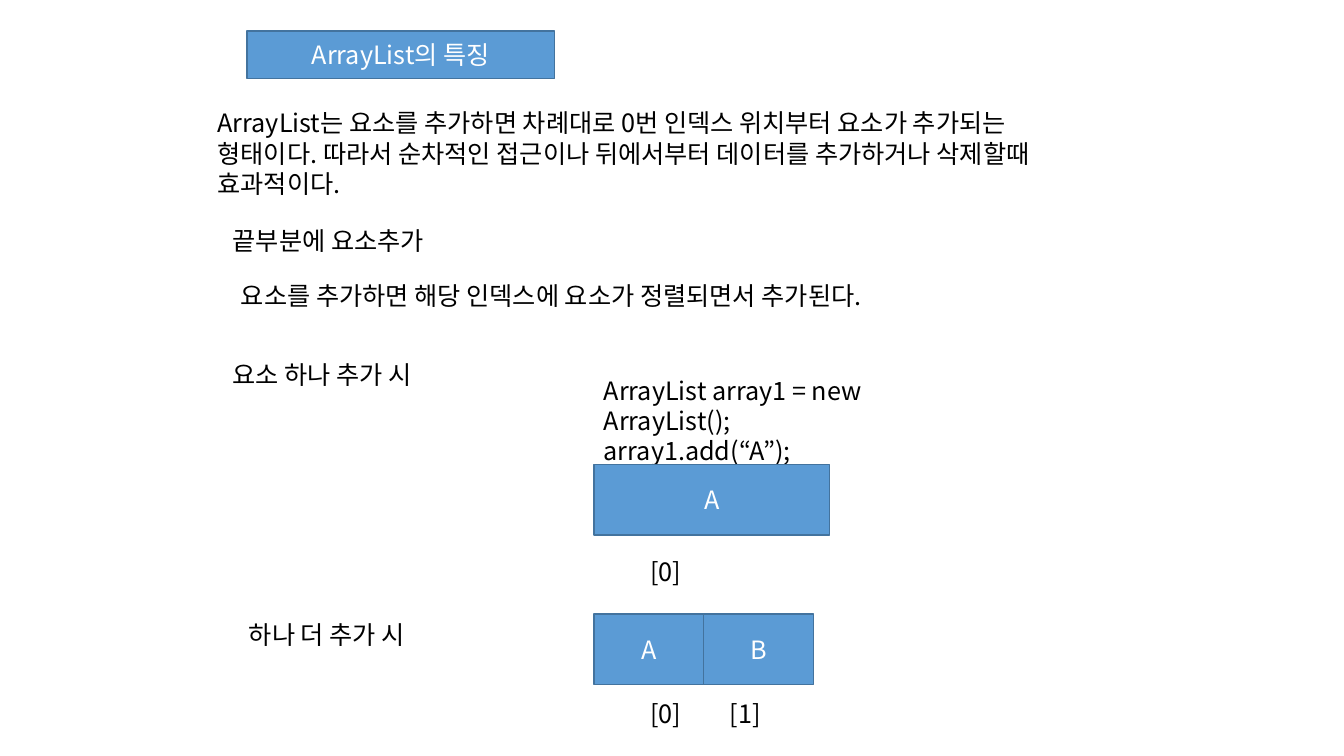
"""Build a slide on how ArrayList adds elements at its end."""
from lxml import etree
from pptx import Presentation
from pptx.dml.color import RGBColor
from pptx.enum import shapes, text
from pptx.oxml import ns
from pptx.util import Inches, Pt

FONT = "Noto Sans CJK KR"
HUES = {"fill": "5B9BD5", "line": "43739E", "light": "FFFFFF", "dark": "000000"}
CELL = 1.09
ROW = 5.89

NOTES = [
    (2.06, 1.02, 8.75, 1.01,
     "ArrayList는 요소를 추가하면 차례대로 0번 인덱스 위치부터 요소가 추가되는 형태이다. "
     "따라서 순차적인 접근이나 뒤에서부터 데이터를 추가하거나 삭제할때 효과적이다."),
    (2.21, 2.19, 3.36, 0.4, "끝부분에 요소추가"),
    (2.29, 2.73, 6.88, 0.71, "요소를 추가하면 해당 인덱스에 요소가 정렬되면서 추가된다."),
    (2.21, 3.52, 2.27, 0.4, "요소 하나 추가 시"),
    (ROW, 3.67, 3.98, 0.71, "ArrayList array1 = new ArrayList();\narray1.add(“A”);"),
    (2.37, 6.09, 1.95, 0.71, "하나 더 추가 시"),
]


def color(name):
    return RGBColor.from_string(HUES[name])


def write(frame, words, hue, align):
    frame.word_wrap = True
    frame.text = words
    for para in frame.paragraphs:
        para.alignment = align
        para.font.name = FONT
        para.font.size = Pt(18)
        para.font.color.rgb = color(hue)
        props = para._p.get_or_add_pPr().get_or_add_defRPr()
        etree.SubElement(props, ns.qn("a:ea")).set("typeface", FONT)


def add_note(slide, left, top, width, height, words):
    box = slide.shapes.add_textbox(*map(Inches, (left, top, width, height)))
    write(box.text_frame, words, "dark", text.PP_ALIGN.LEFT)


def add_box(slide, left, top, width, height, words):
    box = slide.shapes.add_shape(
        shapes.MSO_SHAPE.RECTANGLE, *map(Inches, (left, top, width, height)))
    box.shadow.inherit = False
    box.fill.solid()
    box.fill.fore_color.rgb = color("fill")
    box.line.color.rgb = color("line")
    box.line.width = Pt(1)
    box.text_frame.vertical_anchor = text.MSO_ANCHOR.MIDDLE
    write(box.text_frame, words, "light", text.PP_ALIGN.CENTER)


def add_array(slide, top, width, items, label):
    for i, item in enumerate(items):
        add_box(slide, ROW + i * width, top, width, 0.7, item)
        add_note(slide, 6.35 + i * 0.79, label, 0.63, 0.4, f"[{i}]")


def main():
    deck = Presentation()
    deck.slide_width, deck.slide_height = Inches(13.33), Inches(7.5)
    slide = deck.slides.add_slide(deck.slide_layouts[6])
    add_box(slide, 2.45, 0.31, 3.05, 0.47, "ArrayList의 특징")
    for note in NOTES:
        add_note(slide, *note)
    add_array(slide, 4.61, 2.34, "A", 5.47)
    add_array(slide, 6.09, CELL, "AB", 6.88)
    deck.save("out.pptx")


if __name__ == "__main__":
    main()
